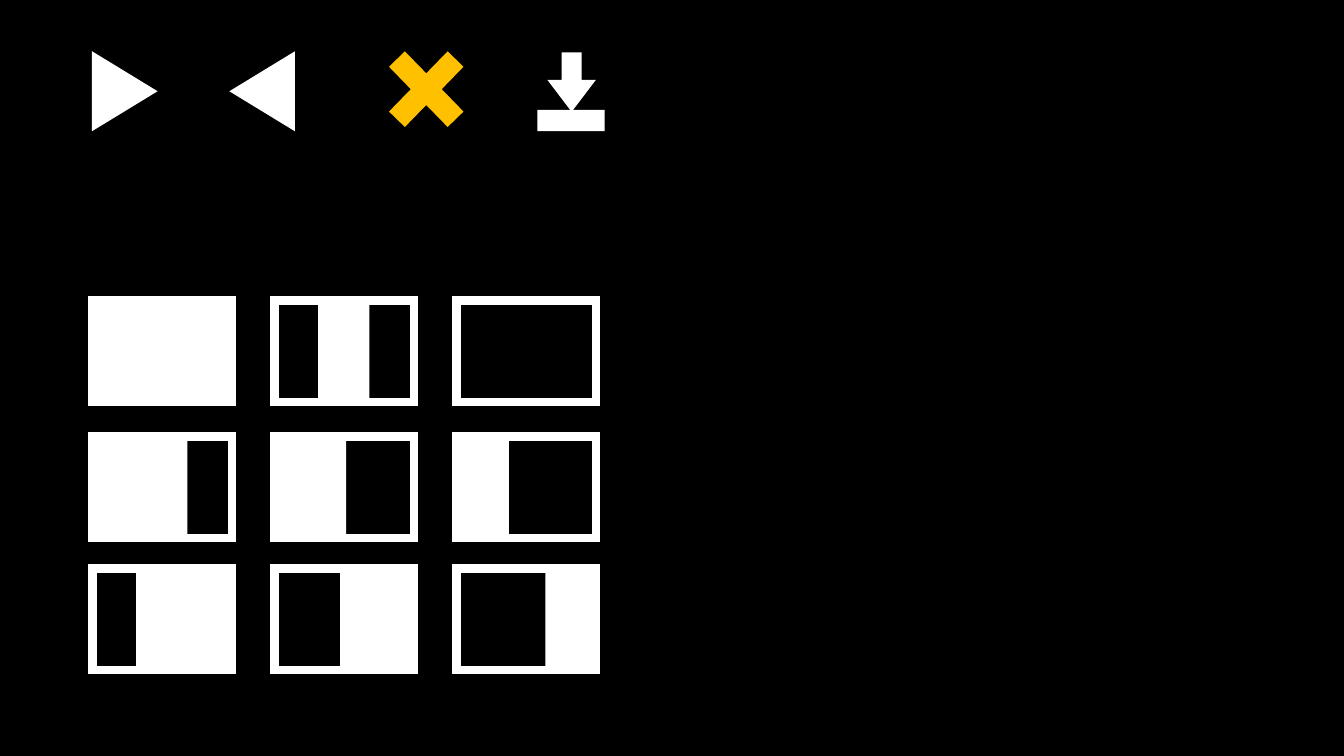
import dataclasses

import lxml.etree
import pptx
import pptx.dml.color
import pptx.enum.shapes
import pptx.oxml.ns
import pptx.util

Pt = pptx.util.Pt
Preset = pptx.enum.shapes.MSO_SHAPE


@dataclasses.dataclass(frozen=True)
class Theme:
    background: str = "000000"
    icon: str = "FFFFFF"
    close: str = "FFC000"
    frame_line: float = 6
    arrow_line: float = 1


THEME = Theme()
GRID_LEFT = 66.2
COLUMN_PITCH = 130
ROW_TOPS = (214.6, 311.7, 406.1)
PANEL_WIDTH, PANEL_HEIGHT = 99.4, 72.7
WIDE, HALF, NARROW = 67.7, 51.1, 36.7
SHADED_PARTS = (
    ((0, 0, PANEL_WIDTH), (31, -1.4, NARROW), None),
    ((0, -0.7, WIDE), (0, -1.4, HALF), (0.7, -2.2, NARROW)),
    ((31, 0, WIDE), (46.8, 1.4, HALF), (63.4, 1.4, NARROW)),
)


def paint(fill, color):
    fill.solid()
    fill.fore_color.rgb = pptx.dml.color.RGBColor.from_string(color)


def add_icon_part(slide, preset, box, fill=None, line_width=0, rotation=0, adjustments=()):
    part = slide.shapes.add_shape(preset, *(Pt(length) for length in box))
    part.shadow.inherit = False
    part.rotation = rotation
    for index, value in enumerate(adjustments):
        part.adjustments[index] = value
    if fill:
        paint(part.fill, fill)
    else:
        part.fill.background()
    if line_width:
        paint(part.line.fill, THEME.icon)
        part.line.width = Pt(line_width)
        outline = part.line.fill._xPr
        corner = lxml.etree.SubElement(outline, pptx.oxml.ns.qn("a:miter"))
        corner.set("lim", "800000")
    else:
        part.line.fill.background()


def add_navigation_arrow(slide, left, rotation):
    add_icon_part(slide, Preset.ISOSCELES_TRIANGLE, (left, 42.5, 55.4, 45.4),
                  THEME.icon, THEME.arrow_line, rotation)


def add_close_icon(slide):
    add_icon_part(slide, Preset.MATH_MULTIPLY, (264.2, 22.3, 80.6, 82.8),
                  THEME.close, adjustments=(0.196,))


def add_download_icon(slide):
    add_icon_part(slide, Preset.DOWN_ARROW, (391, 37.4, 34.6, 42.5),
                  THEME.icon, adjustments=(0.409, 0.659))
    add_icon_part(slide, Preset.RECTANGLE, (383.8, 78.5, 48.2, 15.1), THEME.icon)


def add_layout_icon(slide, left, top, shaded):
    add_icon_part(slide, Preset.RECTANGLE, (left, top, PANEL_WIDTH, PANEL_HEIGHT),
                  line_width=THEME.frame_line)
    if shaded:
        inset, drop, width = shaded
        add_icon_part(slide, Preset.RECTANGLE,
                      (left + inset, top + drop, width, PANEL_HEIGHT), THEME.icon)


def main():
    deck = pptx.Presentation()
    deck.slide_width, deck.slide_height = Pt(960), Pt(540)
    slide = deck.slides.add_slide(deck.slide_layouts[6])
    paint(slide.background.fill, THEME.background)
    for left, rotation in ((61.2, 90), (159.8, 270)):
        add_navigation_arrow(slide, left, rotation)
    add_close_icon(slide)
    add_download_icon(slide)
    for top, row in zip(ROW_TOPS, SHADED_PARTS):
        for column, shaded in enumerate(row):
            add_layout_icon(slide, GRID_LEFT + column * COLUMN_PITCH, top, shaded)
    deck.save("out.pptx")


main()
